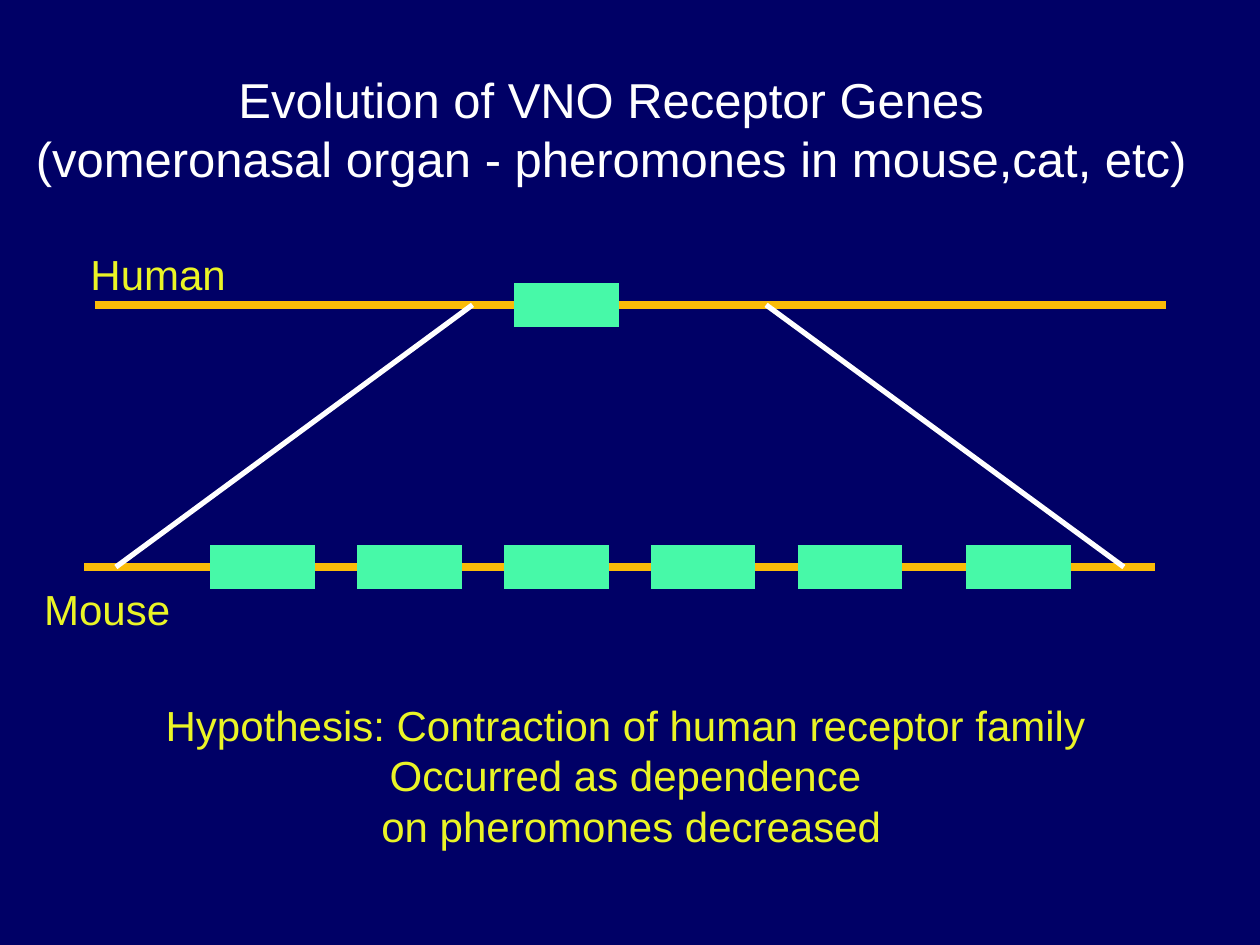
from dataclasses import dataclass

from lxml import etree
from pptx import Presentation
from pptx.dml.color import RGBColor
from pptx.enum.shapes import MSO_CONNECTOR
from pptx.enum.text import MSO_ANCHOR, MSO_AUTO_SIZE, PP_ALIGN
from pptx.oxml.ns import qn
from pptx.util import Inches, Pt

STRAIGHT = MSO_CONNECTOR.STRAIGHT
MIDDLE = MSO_ANCHOR.MIDDLE
GROW = MSO_AUTO_SIZE.SHAPE_TO_FIT_TEXT
CENTER = PP_ALIGN.CENTER

NAVY, WHITE, GOLD, MINT, YELLOW = "000066", "FFFFFF", "FABB08", "47F9A8", "EAF426"
FONT = "Arial"
HUMAN_Y, MOUSE_Y = 2.42, 4.5
STRAND, GENE = 8.5, 0.83
FIRST, FIFTH = 1.67, 6.33
STEP = (FIFTH - FIRST) / 4


@dataclass
class Line:
    x1: float
    y1: float
    x2: float
    y2: float
    color: str
    width: float


@dataclass
class Label:
    left: float
    top: float
    width: float
    height: float
    rows: list[str]
    size: int = 24
    color: str = YELLOW


def paint(code: str) -> RGBColor:
    return RGBColor.from_string(code)


def strand(left: float, y: float) -> Line:
    return Line(left, y, left + STRAND, y, GOLD, 4.5)


def gene(left: float, y: float) -> Line:
    return Line(left, y, left + GENE, y, MINT, 25.25)


def link(top: float, base: float) -> Line:
    return Line(top, HUMAN_Y, base, MOUSE_Y, WHITE, 3)


def draw_line(shapes, item: Line) -> None:
    line = shapes.add_connector(
        STRAIGHT, Inches(item.x1), Inches(item.y1), Inches(item.x2), Inches(item.y2)
    )
    line.line.color.rgb = paint(item.color)
    line.line.width = Pt(item.width)
    etree.SubElement(line._element.spPr, qn("a:effectLst"))


def draw_label(shapes, item: Label) -> None:
    box = shapes.add_textbox(
        Inches(item.left), Inches(item.top), Inches(item.width), Inches(item.height)
    )
    frame = box.text_frame
    frame.word_wrap = False
    frame.auto_size = GROW
    frame.vertical_anchor = MIDDLE
    for i, row in enumerate(item.rows):
        para = frame.add_paragraph() if i else frame.paragraphs[0]
        para.alignment = CENTER
        run = para.add_run()
        run.text = row
        run.font.name = FONT
        run.font.size = Pt(item.size)
        run.font.color.rgb = paint(item.color)


HUMAN = [strand(0.75, HUMAN_Y), gene(4.08, HUMAN_Y)]
MOUSE = [
    strand(0.67, MOUSE_Y),
    *(gene(FIRST + i * STEP, MOUSE_Y) for i in range(5)),
    gene(7.67, MOUSE_Y),
]
LINKS = [link(3.75, 0.92), link(6.08, 8.92)]
LABELS = [
    Label(
        0.18, 0.5, 9.34, 1.04,
        [
            "Evolution of VNO Receptor Genes",
            "(vomeronasal organ - pheromones in mouse,cat, etc)",
        ],
        28, WHITE,
    ),
    Label(0.6, 1.92, 1.31, 0.5, ["Human"]),
    Label(0.23, 4.58, 1.24, 0.5, ["Mouse"]),
    Label(
        1.2, 5.5, 7.62, 1.3,
        [
            "Hypothesis: Contraction of human receptor family ",
            "Occurred as dependence ",
            "on pheromones decreased",
        ],
    ),
]


def main() -> None:
    deck = Presentation()
    deck.slide_width, deck.slide_height = Inches(10), Inches(7.5)
    slide = deck.slides.add_slide(deck.slide_layouts[6])
    fill = slide.background.fill
    fill.solid()
    fill.fore_color.rgb = paint(NAVY)
    group = slide.shapes.add_group_shape()
    for item in HUMAN:
        draw_line(group.shapes, item)
    for item in MOUSE + LINKS:
        draw_line(slide.shapes, item)
    for item in LABELS:
        draw_label(slide.shapes, item)
    deck.save("out.pptx")


if __name__ == "__main__":
    main()
